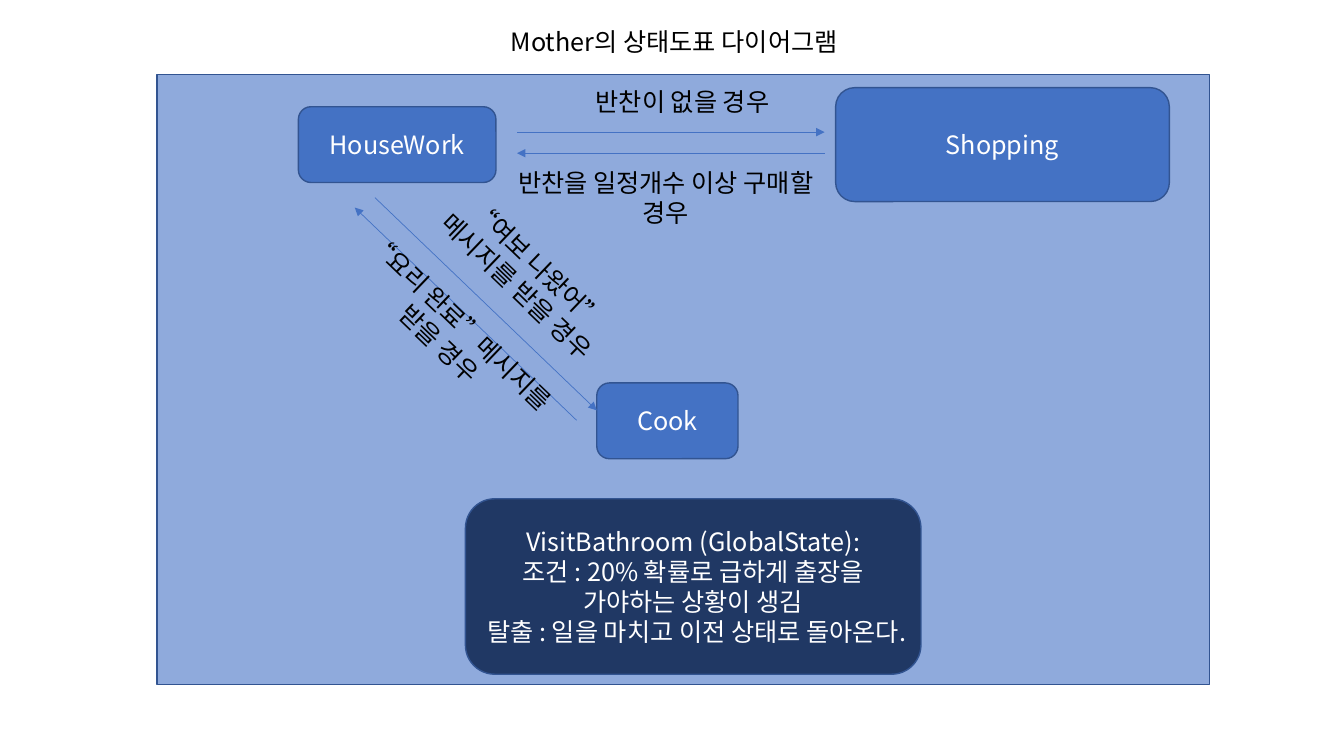
from dataclasses import dataclass

from lxml.etree import SubElement
from pptx import Presentation
from pptx.dml.color import RGBColor
from pptx.enum.shapes import MSO_CONNECTOR, MSO_SHAPE
from pptx.enum.text import MSO_ANCHOR, PP_ALIGN
from pptx.oxml.ns import qn
from pptx.util import Cm, Pt

FONT = "Noto Sans CJK KR"
BLACK, WHITE = "000000", "FFFFFF"
BLUE, NAVY, PALE, EDGE = "4472C4", "203864", "8FAADC", "325491"
SLOPE = 43.8


@dataclass
class Box:
    """A place on the slide, in centimetres."""
    left: float
    top: float
    width: float
    height: float

    def lengths(self) -> list:
        """Return left, top, width and height as lengths."""
        return [Cm(n) for n in (self.left, self.top, self.width, self.height)]


@dataclass
class State:
    """A state of the diagram, one line of text per paragraph."""
    lines: list[str]
    box: Box
    fill: str = BLUE


@dataclass
class Move:
    """A change of state: an arrow and its condition."""
    text: str
    start: tuple[float, float]
    end: tuple[float, float]
    box: Box
    angle: float = 0


STATES = [
    State(["Shopping"], Box(21.06, 2.21, 8.41, 2.87)),
    State(["HouseWork"], Box(7.52, 2.69, 4.98, 1.91)),
    State(["Cook"], Box(15.04, 9.65, 3.56, 1.91)),
    State(["VisitBathroom (GlobalState):",
           "조건 : 20% 확률로 급하게 출장을 가야하는 상황이 생김",
           "탈출 : 일을 마치고 이전 상태로 돌아온다."],
          Box(11.73, 12.57, 11.48, 4.42), NAVY),
]
MOVES = [
    Move("반찬이 없을 경우", (13.03, 3.33), (20.78, 3.33),
         Box(12.83, 2.06, 8.74, 1.02)),
    Move("반찬을 일정개수 이상 구매할 경우", (20.78, 3.86), (13.03, 3.86),
         Box(12.57, 4.09, 8.41, 1.8)),
    Move("“여보 나왔어” 메시지를 받을 경우", (9.45, 4.98), (15.04, 10.34),
         Box(10.16, 6.05, 6.25, 1.8), SLOPE),
    Move("“요리 완료”메시지를 받을 경우", (14.53, 10.59), (8.94, 5.23),
         Box(7.47, 7.49, 7.72, 1.8), SLOPE),
]


def tint(code: str) -> RGBColor:
    """Turn a hex string into a colour."""
    return RGBColor.from_string(code)


def write(frame, lines: list[str], color: str, anchor=MSO_ANCHOR.TOP) -> None:
    """Fill a text frame with centred paragraphs."""
    frame.word_wrap = True
    frame.vertical_anchor = anchor
    frame.text = "\n".join(lines)
    for para in frame.paragraphs:
        para.alignment = PP_ALIGN.CENTER
        font = para.font
        font.size = Pt(18)
        font.name = FONT
        font.color.rgb = tint(color)
        # East Asian letters take their font from a:ea
        props = para._p.pPr.find(qn("a:defRPr"))
        SubElement(props, qn("a:ea"), typeface=FONT)


def block(shapes, kind: MSO_SHAPE, box: Box, fill: str):
    """Draw a filled shape with a thin edge."""
    shape = shapes.add_shape(kind, *box.lengths())
    shape.shadow.inherit = False
    shape.fill.solid()
    shape.fill.fore_color.rgb = tint(fill)
    shape.line.color.rgb = tint(EDGE)
    shape.line.width = Pt(1)
    return shape


def draw_state(shapes, state: State) -> None:
    """Draw a state as a rounded box."""
    shape = block(shapes, MSO_SHAPE.ROUNDED_RECTANGLE, state.box, state.fill)
    write(shape.text_frame, state.lines, WHITE, MSO_ANCHOR.MIDDLE)


def draw_move(shapes, move: Move) -> None:
    """Draw an arrow grouped with its condition."""
    group = shapes.add_group_shape().shapes
    ends = [Cm(n) for n in move.start + move.end]
    arrow = group.add_connector(MSO_CONNECTOR.STRAIGHT, *ends)
    arrow.line.color.rgb = tint(BLUE)
    arrow.line.width = Pt(0.5)
    SubElement(arrow.line._get_or_add_ln(), qn("a:tailEnd"), type="triangle")
    SubElement(arrow._element.spPr, qn("a:effectLst"))
    label = group.add_textbox(*move.box.lengths())
    label.rotation = move.angle
    write(label.text_frame, [move.text], BLACK)


def draw_title(title, text: str, box: Box) -> None:
    """Move the title placeholder and write it."""
    title.left, title.top, title.width, title.height = box.lengths()
    write(title.text_frame, [text], BLACK)


deck = Presentation()
deck.slide_width, deck.slide_height = Cm(33.87), Cm(19.05)
slide = deck.slides.add_slide(deck.slide_layouts.get_by_name("Title Only"))
draw_title(slide.shapes.title, "Mother의 상태도표 다이어그램",
           Box(9.27, 0.53, 15.44, 1.02))
block(slide.shapes, MSO_SHAPE.RECTANGLE, Box(3.96, 1.88, 26.52, 15.37), PALE)
for state in STATES:
    draw_state(slide.shapes, state)
for move in MOVES:
    draw_move(slide.shapes, move)
deck.save("out.pptx")
